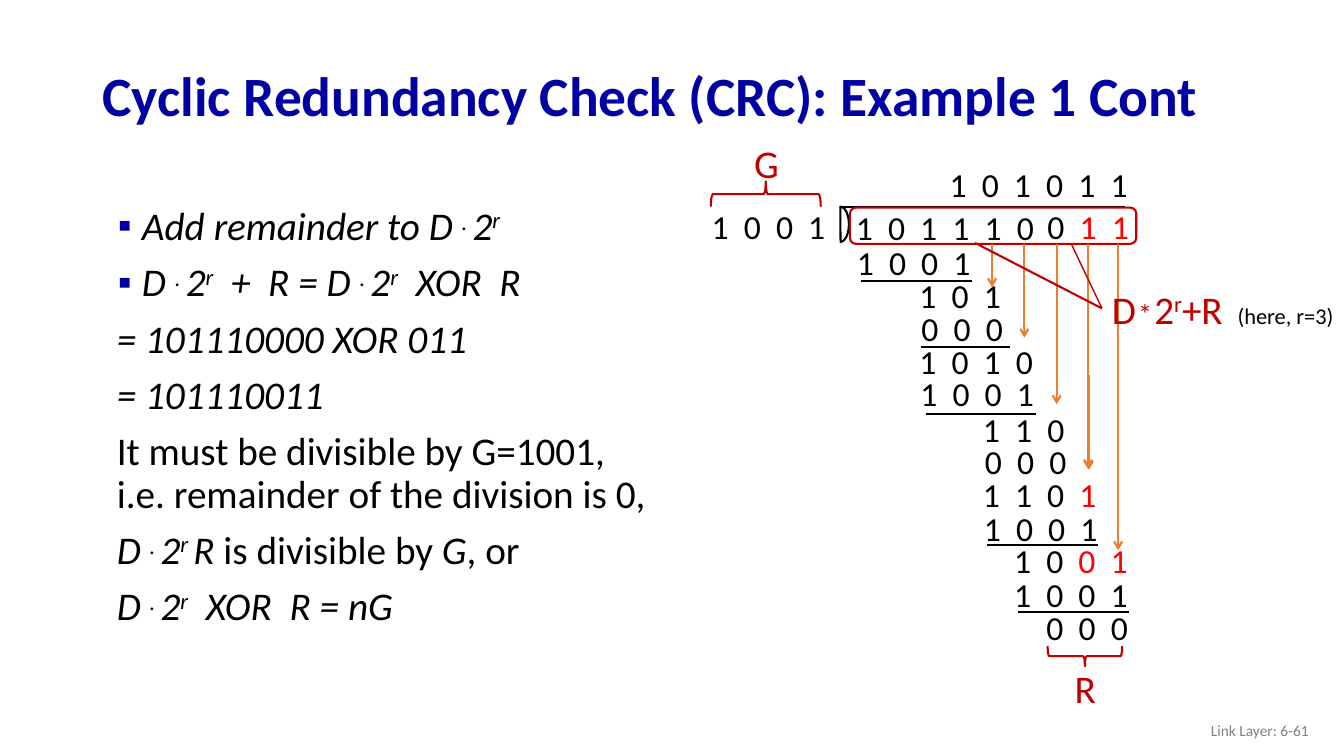
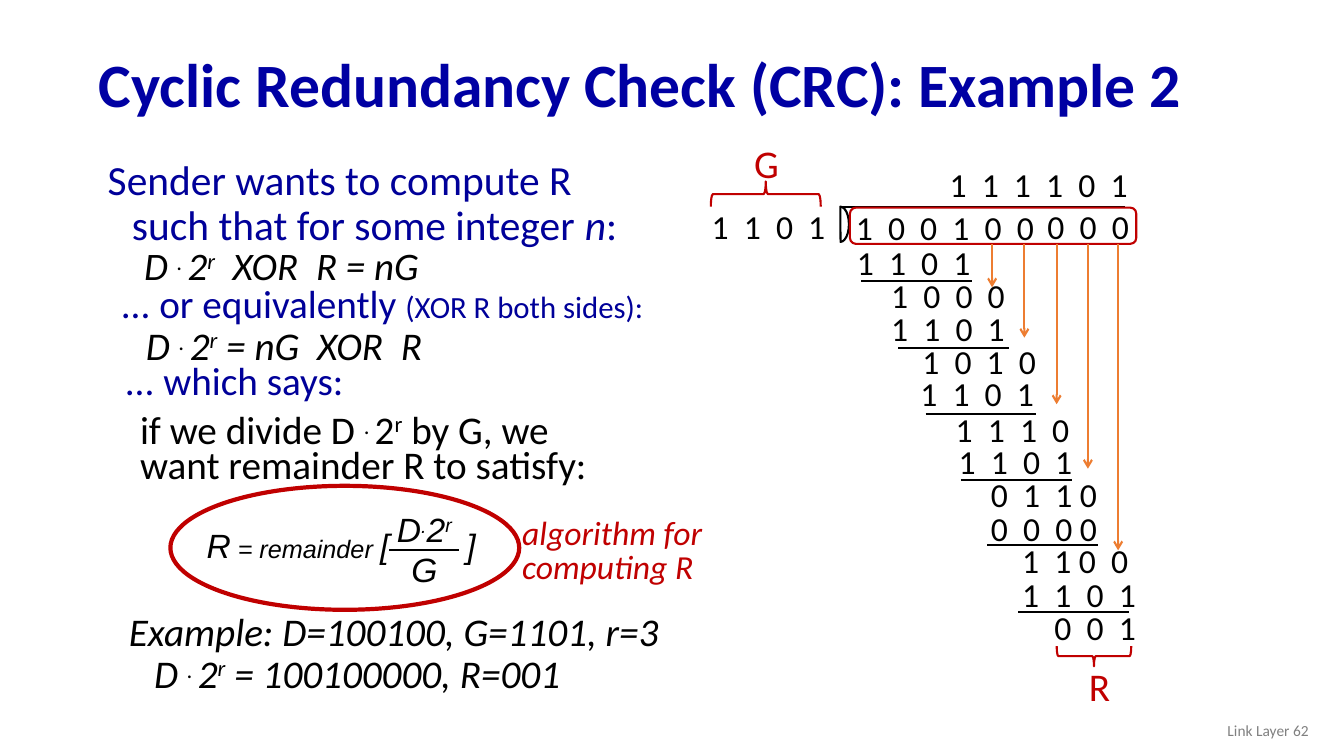
import dataclasses
import typing

import lxml.etree
import pptx
import pptx.dml.color
import pptx.enum.shapes
import pptx.enum.text
import pptx.oxml.ns
import pptx.util

Inches = pptx.util.Inches
Pt = pptx.util.Pt
qn = pptx.oxml.ns.qn
SHAPE = pptx.enum.shapes.MSO_SHAPE
ALIGN = pptx.enum.text.PP_ALIGN
MIDDLE = pptx.enum.text.MSO_ANCHOR.MIDDLE


@dataclasses.dataclass(frozen=True)
class Theme:
    sans: str = "Calibri"
    math: str = "Arial"
    title: str = "0000A3"
    lead: str = "000099"
    ink: str = "000000"
    mark: str = "C00000"
    bit: str = "FF0000"
    arrow: str = "ED7D31"
    foot: str = "808080"
    body: float = 28
    digit: float = 24
    note: float = 16
    small: float = 11
    pitch: float = 0.32


THEME = Theme()


class Run(typing.NamedTuple):
    text: str
    form: dict = {}
    base: int = 0
    space: int = 0


@dataclasses.dataclass
class Para:
    runs: list
    left: float = 0
    hang: float = 0
    line: float = 1
    before: float = 0
    align: typing.Any = ALIGN.LEFT
    bullet: str = ""


class Row(typing.NamedTuple):
    left: float
    top: float
    digits: str
    red: int = 0
    tight: int = 0


class Line(typing.NamedTuple):
    x1: float
    y1: float
    x2: float
    y2: float
    color: str = THEME.ink
    width: float = 1.5
    head: bool = False


def bar(left: float, y: float, width: float = 1.1) -> Line:
    return Line(left, y, left + width, y)


def drop(x: float, top: float, end: float) -> Line:
    return Line(x, top, x, end, THEME.arrow, head=True)


ITALIC = {"italic": True}
PLAIN = {"italic": False}
BLACK = {"color": THEME.ink}
WIDE = Run(" ", space=630)
STEP = Run(" ", space=540)
POWER = [Run("2"), Run("r", base=30)]
TERM = [Run("D "), Run(". ", base=26), *POWER]
XOR = [WIDE, Run("XOR"), WIDE]


def slant(runs: list) -> list:
    return [run._replace(form={**BLACK, **ITALIC, **run.form}) for run in runs]


def dress(font: typing.Any, form: dict) -> None:
    for key, val in form.items():
        if key == "color":
            font.color.rgb = pptx.dml.color.RGBColor.from_string(val)
        else:
            setattr(font, key, Pt(val) if key == "size" else val)


def mark(par: typing.Any, para: Para) -> None:
    props = par._p.get_or_add_pPr()
    props.set("marL", str(Inches(para.left)))
    props.set("indent", str(Inches(para.hang)))
    if para.bullet:
        tint = lxml.etree.SubElement(props, qn("a:buClr"))
        lxml.etree.SubElement(tint, qn("a:srgbClr"), val=THEME.title)
        lxml.etree.SubElement(props, qn("a:buFont"), typeface=THEME.math)
        lxml.etree.SubElement(props, qn("a:buChar"), char=para.bullet)
    for key, val in {"alignment": para.align, "line_spacing": para.line,
                     "space_before": Pt(para.before)}.items():
        setattr(par, key, val)


def write(slide: typing.Any, place: tuple, paras: list, form: dict = {},
          frame: dict = {}) -> None:
    text = slide.shapes.add_textbox(*map(Inches, place)).text_frame
    for key, val in {"word_wrap": True, **frame}.items():
        setattr(text, key, val)
    style = {"name": THEME.sans, "size": THEME.body, "color": THEME.ink, **form}
    for num, para in enumerate(paras):
        par = text.add_paragraph() if num else text.paragraphs[0]
        mark(par, para)
        for piece in para.runs:
            run = par.add_run()
            run.text = piece.text
            dress(run.font, {**style, **piece.form})
            props = run._r.get_or_add_rPr()
            for key, val in {"baseline": piece.base * 1000, "spc": piece.space}.items():
                if val:
                    props.set(key, str(val))


def label(slide: typing.Any, place: tuple, text: str, form: dict = {}) -> None:
    write(slide, place, [Para([Run(text)])], {"color": THEME.mark, **form})


def number(slide: typing.Any, row: Row) -> None:
    cut = len(row.digits) - row.red
    runs = []
    for num, digit in enumerate(row.digits):
        if num:
            runs.append(Run(" ") if num == row.tight else STEP)
        runs.append(Run(digit, {"color": THEME.bit} if num >= cut else {}))
    width = THEME.pitch * len(row.digits) + 0.05
    write(slide, (row.left, row.top, width, 0.5), [Para(runs)],
          {"size": THEME.digit}, {"margin_right": 0})


def stroke(slide: typing.Any, line: Line) -> None:
    ends = map(Inches, (line.x1, line.y1, line.x2, line.y2))
    link = slide.shapes.add_connector(pptx.enum.shapes.MSO_CONNECTOR.STRAIGHT, *ends)
    link.line.width = Pt(line.width)
    link.line.color.rgb = pptx.dml.color.RGBColor.from_string(line.color)
    if line.head:
        pen = link.line._get_or_add_ln()
        lxml.etree.SubElement(pen, qn("a:tailEnd"), type="arrow")
    lxml.etree.SubElement(link._element.spPr, qn("a:effectLst"))


def outline(slide: typing.Any, kind: typing.Any, place: tuple, color: str = THEME.mark,
            width: float = 1.5, turn: float = 0) -> typing.Any:
    shape = slide.shapes.add_shape(kind, *map(Inches, place))
    shape.shadow.inherit = False
    shape.fill.background()
    shape.line.width = Pt(width)
    shape.line.color.rgb = pptx.dml.color.RGBColor.from_string(color)
    shape.rotation = turn
    return shape


ARROWS = [drop(x, 2.42, end) for x, end in
          ((9.84, 2.85), (10.16, 3.35), (10.48, 4.01), (10.79, 4.65), (11.09, 5.46))]
BARS = [bar(8.54, 2.79), bar(9.18, 4.11), bar(9.79, 5.41), bar(10.1, 6.07)]


def start(deck: typing.Any, title: str, place: tuple, size: float, foot: str) -> typing.Any:
    slide = deck.slides.add_slide(deck.slide_layouts[6])
    write(slide, place, [Para([Run(title)], line=0.9)],
          {"size": size, "color": THEME.title, "bold": True}, {"vertical_anchor": MIDDLE})
    write(slide, (10.08, 7.05, 3, 0.4), [Para([Run(foot)], align=ALIGN.RIGHT)],
          {"size": THEME.small, "color": THEME.foot}, {"vertical_anchor": MIDDLE})
    return slide


def divide(slide: typing.Any, rows: list, lines: list, rest: tuple, brace: float) -> None:
    for row in rows:
        number(slide, row)
    label(slide, (7.38, 1.33, 0.45, 0.57), "G")
    label(slide, (*rest, 0.42, 0.57), "R")
    outline(slide, SHAPE.RIGHT_BRACE, (7.47, 1.38, 0.25, 1.09), turn=270)
    outline(slide, SHAPE.RIGHT_BRACE, (brace, 6.14, 0.2, 0.74), turn=90)
    stroke(slide, bar(8.35, 2.05, 2.81))
    hook = outline(slide, SHAPE.PIE, (8.16, 2.14, 0.35, 0.17), THEME.ink, turn=270)
    hook.adjustments[0] = 0
    hook.adjustments[1] = 107.54
    outline(slide, SHAPE.ROUNDED_RECTANGLE, (8.43, 2.06, 2.84, 0.36))
    for line in ARROWS + BARS + lines:
        stroke(slide, line)


def verify(deck: typing.Any) -> None:
    slide = start(deck, "Cyclic Redundancy Check (CRC): Example 1 Cont",
                  (0.92, 0.49, 11.5, 0.98), 39.6, "Link Layer: 6-61")
    points = [
        slant([Run("Add remainder to "), *TERM]),
        slant([*TERM, WIDE, Run("+"), WIDE, Run("R = "), *TERM, *XOR, Run("R")]),
        slant([Run("= 101110000 XOR 011")]),
        slant([Run("= 101110011")]),
        [Run("It must be divisible by G=1001, i.e. remainder of the division is 0,")],
        slant([*TERM[:-1], Run("r ", base=30), Run("R "), Run("is divisible by ", PLAIN),
               Run("G"), Run(", or", PLAIN)]),
        slant([*TERM, *XOR, Run("R = nG")]),
    ]
    write(slide, (0.92, 2, 5.67, 4.76),
          [Para(runs, 0.39 if num < 2 else 0.14, -0.24 if num < 2 else 0, 0.9,
                10 if num else 0, bullet="▪" if num < 2 else "")
           for num, runs in enumerate(points)])
    rows = [
        Row(9.32, 1.58, "101011"), Row(6.96, 1.99, "1001"),
        Row(8.39, 2, "101110"), Row(10.29, 1.99, "011", red=2),
        Row(8.4, 2.35, "1001"), Row(9.02, 2.68, "101"), Row(9.04, 3.01, "000"),
        Row(9.02, 3.33, "1010"), Row(9.03, 3.65, "1001"), Row(9.65, 4.01, "110"),
        Row(9.67, 4.33, "000"), Row(9.65, 4.65, "1101", red=1), Row(9.66, 4.99, "1001"),
        Row(9.96, 5.31, "1001", red=2), Row(9.96, 5.64, "1001"), Row(10.28, 5.97, "000"),
    ]
    lines = [
        bar(9.13, 3.44, 0.89), drop(10.8, 3.72, 4.66),
        Line(9.67, 2.41, 10.93, 3.06, THEME.mark),
        Line(10.63, 2.43, 10.93, 3.06, THEME.mark, 1),
    ]
    divide(slide, rows, lines, (10.56, 6.54), 10.66)
    label(slide, (10.93, 2.78, 0.44, 0.57), "D")
    label(slide, (11.19, 2.89, 1.02, 0.44), "*", {"size": 20})
    here = Run("(here, r=3)", {"size": THEME.note, **BLACK})
    write(slide, (11.35, 2.78, 2.03, 0.57),
          [Para([*POWER, Run("+R"), Run(" ", space=430), here])], {"color": THEME.mark})


def derive(deck: typing.Any) -> None:
    slide = start(deck, "Cyclic Redundancy Check (CRC): Example 2",
                  (0.88, 0.38, 11.5, 0.98), 44, "Link Layer 62")
    lead = {"color": THEME.lead}
    big = {**lead, "size": 29.6}
    write(slide, (0.82, 1.54, 5.59, 1.46), [
        Para([Run("Sender wants to compute R such that for some integer ", big),
              Run("n", {**big, **ITALIC}), Run(":", big)], 0.39, -0.24, 0.9),
        Para(slant([*TERM, *XOR, Run("R = nG")]), 0.76, -0.25, 0.65, 5),
    ], {"size": 27.8})
    write(slide, (0.84, 2.83, 5.74, 0.96), [
        Para([Run("... or equivalently ", lead),
              Run("(XOR R both sides):", {**lead, "size": 22})], 0.39, -0.13, 0.75),
        Para(slant([*TERM, Run(" = nG"), *XOR, Run("R")]), 0.76, -0.25, 0.75, 5),
    ])
    write(slide, (0.79, 3.59, 5.45, 1.37), [
        Para([Run("... which says:", lead)], 0.39, -0.04, 0.75),
        Para([Run("if we divide "), *TERM, Run(" by G, we want remainder R to satisfy:")],
             0.5, 0, 0.75, 10),
    ])
    math = {"name": THEME.math, "size": THEME.digit, **ITALIC}
    write(slide, (3.48, 5, 1.46, 0.9), [
        Para([Run("D"), Run(".", base=26), *POWER], align=ALIGN.CENTER),
        Para([Run("G")], align=ALIGN.CENTER),
    ], math)
    stroke(slide, bar(3.86, 5.46, 0.69))
    write(slide, (1.95, 5.16, 3.05, 0.52),
          [Para([Run("R"), Run(" = remainder ", {"size": 18}), Run("["),
                 Run(" ", {"size": 18}, space=5000), Run("]")])], math)
    outline(slide, SHAPE.OVAL, (1.69, 4.82, 3.46, 1.23), width=3)
    write(slide, (5.08, 5.09, 2.08, 0.79),
          [Para([Run(text)], line=0.85) for text in ("algorithm for", "computing R")],
          {"size": THEME.digit, "color": THEME.mark, **ITALIC})
    write(slide, (0.92, 6.08, 5.74, 0.96), [
        Para(slant([Run("Example: D=100100, G=1101, r=3")]), 0.39, -0.13, 0.75),
        Para(slant([*TERM, Run(" = 100100000, R=001")]), 0.76, -0.25, 0.75, 5),
    ])
    rows = [
        Row(9.32, 1.58, "111101"), Row(6.96, 1.99, "1101"),
        Row(8.39, 2, "100100"), Row(10.29, 1.99, "000"),
        Row(8.4, 2.35, "1101"), Row(8.74, 2.68, "1000"), Row(8.74, 3.01, "1101"),
        Row(9.05, 3.33, "1010"), Row(9.03, 3.65, "1101"), Row(9.38, 4.01, "1110"),
        Row(9.41, 4.33, "1101"), Row(9.73, 4.65, "0110", tight=3),
        Row(9.73, 4.99, "0000", tight=3), Row(10.04, 5.31, "1100", tight=2),
        Row(10.04, 5.64, "1101"), Row(10.36, 5.97, "001"),
    ]
    divide(slide, rows, [bar(8.91, 3.45), bar(9.53, 4.76)], (10.7, 6.52), 10.75)


def main() -> None:
    deck = pptx.Presentation()
    deck.slide_width, deck.slide_height = Inches(13.33), Inches(7.5)
    verify(deck)
    derive(deck)
    deck.save("out.pptx")


if __name__ == "__main__":
    main()
